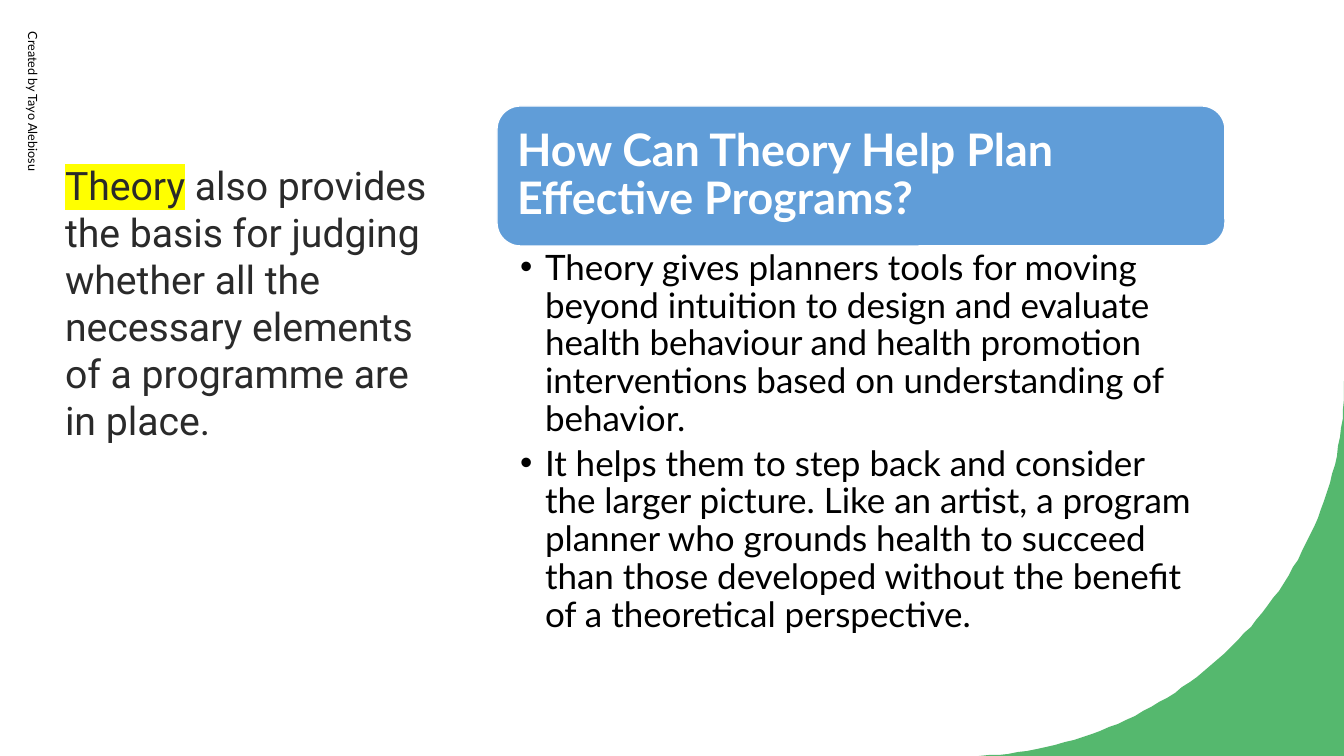
from lxml.etree import SubElement
from pptx import Presentation
from pptx.dml.color import RGBColor
from pptx.enum.shapes import MSO_SHAPE
from pptx.enum.text import MSO_ANCHOR, MSO_AUTO_SIZE, PP_ALIGN
from pptx.oxml.ns import qn
from pptx.util import Emu, Pt

SCALE = 914400 / 100.8
COLOURS = {
    "white": "FFFFFF",
    "black": "000000",
    "ink": "2A2A2A",
    "blue": "609DD8",
    "green": "55B86E",
    "yellow": "FFFF00",
}
FONTS = {
    "heading": {"name": "Lato", "size": Pt(32), "bold": True},
    "list": {"name": "Lato", "size": Pt(25)},
    "statement": {"name": "Roboto", "size": Pt(28)},
    "credit": {"name": "Lato", "size": Pt(9)},
}
HEADING = "How Can Theory Help Plan Effective Programs?"
REASONS = [
    "Theory gives planners tools for moving beyond intuition to design and evaluate "
    "health behaviour and health promotion interventions based on understanding of behavior.",
    "It helps them to step back and consider the larger picture. Like an artist, a program "
    "planner who grounds health to succeed than those developed without the benefit "
    "of a theoretical perspective.",
]
STATEMENT = ["Theory", " also provides the basis for judging whether all the "
             "necessary elements of a programme are in place."]
CREDIT = "Created by Tayo Alebiosu"


def px(length):
    return Emu(round(length * SCALE))


def colour(name):
    return RGBColor.from_string(COLOURS[name])


def apply(target, values):
    for name, value in values.items():
        setattr(target, name, value)


def place(shape, box):
    apply(shape, dict(zip(("left", "top", "width", "height"), map(px, box))))


def set_frame(frame, anchor, margins):
    sides = ("margin_left", "margin_top", "margin_right", "margin_bottom")
    apply(frame, {"word_wrap": True, "auto_size": MSO_AUTO_SIZE.NONE, "vertical_anchor": anchor})
    apply(frame, dict(zip(sides, map(px, margins))))


def add_span(para, text, style, ink):
    span = para.add_run()
    span.text = text
    apply(span.font, FONTS[style])
    span.font.color.rgb = colour(ink)
    return span


def highlight(span, name):
    mark = SubElement(span.font._element, qn("a:highlight"))
    SubElement(mark, qn("a:srgbClr"), val=COLOURS[name])
    span.font._element.find(qn("a:solidFill")).addnext(mark)


def add_bullet(para, indent):
    properties = para._p.get_or_add_pPr()
    properties.set("marL", str(px(indent)))
    properties.set("indent", str(-px(indent)))
    SubElement(properties, qn("a:buFont"), typeface="Arial")
    SubElement(properties, qn("a:buChar"), char="•")


def add_corner(page, box):
    left, top, width, height = box
    right, bottom = left + width, top + height
    curve = [(left + 8, bottom), (right - 168, bottom - 9),
             (right - 10, top + 211), (right, top + 18)]
    steps = 60
    points = []
    for step in range(steps + 1):
        t = step / steps
        weights = ((1 - t) ** 3, 3 * t * (1 - t) ** 2, 3 * t * t * (1 - t), t ** 3)
        points.append(tuple(sum(w * p[axis] for w, p in zip(weights, curve)) for axis in (0, 1)))
    builder = page.shapes.build_freeform(right, top, scale=SCALE)
    builder.add_line_segments([(right, bottom), (left, bottom)] + points, close=True)
    corner = builder.convert_to_shape()
    corner.shadow.inherit = False
    corner.fill.solid()
    corner.fill.fore_color.rgb = colour("green")
    corner.line.fill.background()
    return corner


def add_heading(page, box):
    left, top, width, height = box
    card = page.shapes.add_shape(MSO_SHAPE.ROUNDED_RECTANGLE, *map(px, box))
    card.shadow.inherit = False
    card.fill.solid()
    card.fill.fore_color.rgb = colour("blue")
    card.line.color.rgb = colour("white")
    card.line.width = Pt(1)
    title = page.shapes.title
    title.element.addprevious(card.element)
    place(title, (left + 7, top + 7, width - 14, height - 14))
    set_frame(title.text_frame, MSO_ANCHOR.MIDDLE, (13, 13, 13, 13))
    para = title.text_frame.paragraphs[0]
    apply(para, {"alignment": PP_ALIGN.LEFT, "line_spacing": 0.9})
    add_span(para, HEADING, "heading", "white")


def add_reasons(page, box):
    body = page.placeholders[1]
    place(body, box)
    frame = body.text_frame
    set_frame(frame, MSO_ANCHOR.TOP, (23, 4, 25, 4))
    for index, reason in enumerate(REASONS):
        para = frame.add_paragraph() if index else frame.paragraphs[0]
        add_bullet(para, 25)
        apply(para, {"line_spacing": 0.9, "space_before": Pt(0), "space_after": Pt(5)})
        add_span(para, reason, "list", "black")


def add_statement(page, box):
    frame = page.shapes.add_textbox(*map(px, box)).text_frame
    set_frame(frame, MSO_ANCHOR.TOP, (10, 5, 10, 5))
    para = frame.paragraphs[0]
    spans = [add_span(para, text, "statement", "ink") for text in STATEMENT]
    highlight(spans[0], "yellow")


def add_credit(page, box):
    credit = page.shapes.add_textbox(*map(px, box))
    credit.rotation = 90
    set_frame(credit.text_frame, MSO_ANCHOR.MIDDLE, (10, 5, 10, 5))
    add_span(credit.text_frame.paragraphs[0], CREDIT, "credit", "black")


def main():
    deck = Presentation()
    apply(deck, {"slide_width": px(1344), "slide_height": px(756)})
    page = deck.slides.add_slide(deck.slide_layouts[1])
    corner = add_corner(page, (971, 381, 373, 375))
    page.shapes.title.element.addprevious(corner.element)
    add_heading(page, (497, 106, 728, 140))
    add_reasons(page, (497, 246, 728, 401))
    add_statement(page, (55, 156, 403, 295))
    add_credit(page, (-178, 213, 422, 40))
    deck.save("out.pptx")


if __name__ == "__main__":
    main()
